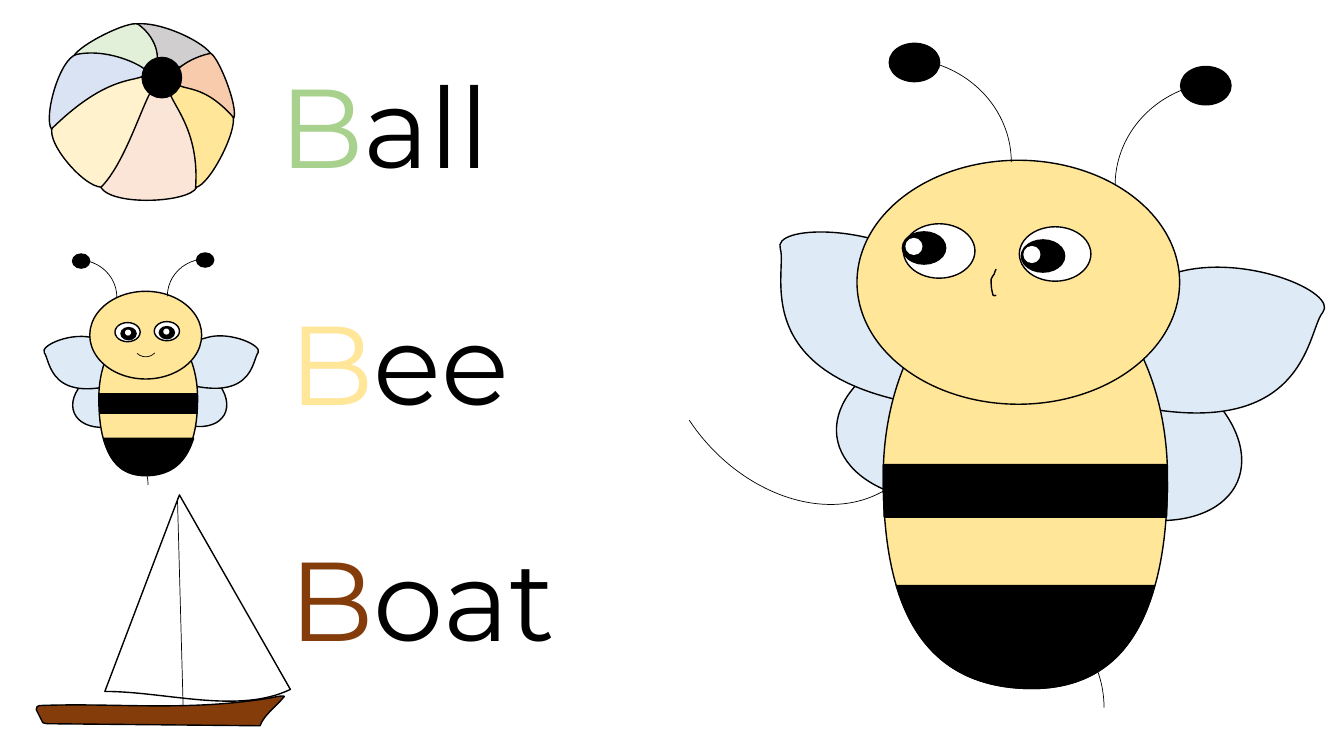
from pptx import Presentation
from pptx.dml.color import RGBColor
from pptx.enum.shapes import MSO_CONNECTOR, MSO_SHAPE
from pptx.enum.text import MSO_AUTO_SIZE
from pptx.oxml.ns import qn
from pptx.util import Pt
from lxml.etree import SubElement

PX = 9144
STEPS = 16
HUES = {
    "black": "000000", "white": "FFFFFF", "honey": "FFE699", "wing": "DEEBF7",
    "wood": "843C0B", "leaf": "A9D18E", "grey": "D0CECE", "cream": "FFF2CC",
    "pink": "FBE5D6", "peach": "F8CBAD", "mint": "E2F0D9", "sky": "DAE3F3",
}

SMALL = {
    "hind": [(99, 111, 89, 58, 28.7), (30, 113, 89, 58, 336.3)],
    "fore": [
        [(131, 127), (212, 154, 210, 107, 216, 100), (221, 93, 188, 78, 165, 85),
         (141, 93, 50, 99, 131, 127)],
        [(89, 127), (8, 155, 10, 107, 4, 100), (-1, 93, 32, 78, 55, 86),
         (79, 93, 170, 99, 89, 127)],
    ],
    "sting": (31, 192, 76, 78),
    "body": [(107, 221), (68, 222, 58, 187, 58, 145), (58, 103, 80, 70, 107, 70),
             (134, 70, 156, 103, 156, 145), (156, 187, 145, 219, 107, 221)],
    "head": (49, 39, 111, 87),
    "feelers": [(0, 8, 76, 74), (126, 7, 76, 74)],
    "tips": [(32, 2, 17, 14), (155, 1, 17, 14)],
    "eyes": [(74, 70, 25, 19), (113, 69, 25, 19)],
    "pupils": [(80, 75, 15, 12), (118, 74, 15, 12)],
    "glints": [(84, 77, 6, 6), (122, 76, 6, 6)],
    "belt": [(59, 141), (156, 141), (156, 160), (59, 160)],
    "tail": [(63, 185), (152, 185), (151, 188), (144, 208, 131, 221, 107, 222),
             (83, 223, 70, 210, 64, 189)],
}

LARGE = {
    "hind": [(149, 296, 257, 161, 352.6), (301, 306, 257, 161, 23.7)],
    "fore": [
        [(294, 368), (51, 354, 102, 231, 94, 207), (85, 183, 189, 181, 244, 225),
         (300, 270, 536, 383, 294, 368)],
        [(387, 347), (618, 422, 615, 289, 632, 270), (648, 250, 553, 210, 485, 231),
         (417, 253, 156, 272, 387, 347)],
    ],
    "sting": (196, 554, 219, 216),
    "body": [(337, 643), (447, 647, 478, 549, 478, 433), (478, 317, 415, 223, 337, 223),
             (259, 223, 196, 317, 196, 433), (196, 549, 227, 639, 337, 643)],
    "head": (170, 119, 320, 242),
    "feelers": [(104, 18, 219, 206), (426, 41, 219, 206)],
    "tips": [(202, 3, 50, 38), (491, 26, 50, 38)],
    "eyes": [(216, 182, 71, 54), (331, 185, 71, 54)],
    "pupils": [(215, 190, 43, 32), (333, 198, 43, 32)],
    "glints": [(218, 196, 17, 17), (335, 204, 17, 17)],
    "belt": [(477, 421), (196, 421), (196, 442), (197, 473), (477, 473), (478, 442)],
    "tail": [(465, 541), (209, 541), (212, 550), (231, 605, 269, 641, 338, 643),
             (407, 645, 444, 608, 462, 552)],
}

PANELS = [
    ("grey", [(160, 35), (155, 23, 109, 0, 83, 4), (108, 19, 100, 48, 115, 43),
              (127, 56, 130, 39, 160, 35)]),
    ("cream", [(2, 106), (-5, 123, 39, 172, 54, 165), (67, 152, 118, 65, 94, 63),
               (97, 37, 8, 90, 2, 106)]),
    ("pink", [(50, 166), (62, 185, 138, 181, 145, 166), (155, 135, 125, 58, 111, 65),
              (100, 45, 82, 134, 50, 166)]),
    ("honey", [(144, 166), (158, 164, 186, 109, 181, 95), (164, 75, 125, 52, 121, 63),
               (106, 74, 149, 96, 144, 166)]),
    ("peach", [(182, 97), (186, 85, 167, 37, 159, 33), (142, 36, 120, 49, 124, 57),
               (125, 75, 146, 56, 182, 97)]),
    ("mint", [(23, 36), (29, 24, 78, 0, 87, 4), (108, 19, 110, 44, 101, 47),
              (88, 59, 83, 26, 23, 36)]),
    ("sky", [(1, 108), (-7, 96, 9, 38, 26, 34), (60, 27, 97, 48, 95, 51),
             (92, 65, 64, 46, 1, 108)]),
]


def color(name):
    return RGBColor.from_string(HUES[name])


def paint(shape, fill, width):
    shape.shadow.inherit = False
    if fill:
        shape.fill.solid()
        shape.fill.fore_color.rgb = color(fill)
    else:
        shape.fill.background()
    if width:
        shape.line.color.rgb = color("black")
        shape.line.width = Pt(width)
    else:
        shape.line.fill.background()


def form(page, spot, kind, box, fill=None, width=1, turn=0):
    left, top, wide, high = box
    shape = page.shapes.add_shape(
        kind, (spot[0] + left) * PX, (spot[1] + top) * PX, wide * PX, high * PX)
    shape.rotation = turn
    paint(shape, fill, width)
    return shape


def oval(page, spot, box, fill, width=1, turn=0):
    form(page, spot, MSO_SHAPE.OVAL, box, fill, width, turn)


def arc(page, spot, box, turn=0, flip=False):
    shape = form(page, spot, MSO_SHAPE.ARC, box, None, 0.5, turn)
    if flip:
        shape._element.spPr.xfrm.set("flipH", "1")
    return shape


def bounds(steps):
    dots = [steps[0]]
    for old, step in zip(steps, steps[1:]):
        knots = [old[-2:], step[:2], step[-4:-2] or step, step[-2:]]
        if len(step) == 2:
            knots = [old[-2:], old[-2:], step, step]
        for i in range(1, STEPS + 1):
            t = i / STEPS
            parts = ((1 - t) ** 3, 3 * t * (1 - t) ** 2, 3 * t * t * (1 - t), t ** 3)
            dots.append([sum(p * k[axis] for p, k in zip(parts, knots)) for axis in (0, 1)])
    xs, ys = zip(*dots)
    return min(xs), min(ys), max(xs), max(ys)


def blob(page, spot, steps, fill=None, close=True):
    pen = page.shapes.build_freeform(*steps[0], scale=PX)
    pen.add_line_segments([step[-2:] for step in steps[1:]], close=close)
    shape = pen.convert_to_shape()
    left, top, right, foot = bounds(steps)
    shape.left, shape.top = round((spot[0] + left) * PX), round((spot[1] + top) * PX)
    shape.width, shape.height = round((right - left) * PX), round((foot - top) * PX)
    track = next(shape._element.iter(qn("a:path")))
    track.set("w", str(shape.width))
    track.set("h", str(shape.height))
    for node, step in zip(list(track), steps):
        for dot in list(node):
            node.remove(dot)
        if len(step) == 6:
            node.tag = qn("a:cubicBezTo")
        for x, y in zip(step[::2], step[1::2]):
            SubElement(node, qn("a:pt"), x=str(round((x - left) * PX)),
                       y=str(round((y - top) * PX)))
    paint(shape, fill, 1)


def bee(page, spot, look):
    for (*box, turn), wing in zip(look["hind"], look["fore"]):
        oval(page, spot, box, "wing", turn=turn)
        blob(page, spot, wing, "wing")
    arc(page, spot, look["sting"])
    blob(page, spot, look["body"], "honey")
    oval(page, spot, look["head"], "honey")
    for flip, box in enumerate(look["feelers"]):
        arc(page, spot, box, flip=bool(flip))
    for part, fill, width in (("tips", "black", 1), ("eyes", "white", 1),
                              ("pupils", "black", 1), ("glints", "white", 0)):
        for box in look[part]:
            oval(page, spot, box, fill, width)
    for part in ("belt", "tail"):
        blob(page, spot, look[part], "black")


def baby(page, spot):
    bee(page, spot, SMALL)
    arc(page, spot, (92, 79, 25, 25), turn=133.5)


def giant(page, spot):
    bee(page, spot, LARGE)
    trail = arc(page, spot, (-47, 199, 312, 239), turn=229.8, flip=True)
    trail.adjustments[0] = 155.25
    blob(page, spot, [(308, 227), (308, 228, 308, 228, 307, 229),
                      (307, 230, 306, 230, 306, 232), (305, 233, 304, 235, 303, 237),
                      (303, 240, 303, 246, 304, 249), (304, 251, 305, 252, 305, 253),
                      (306, 254, 307, 253, 308, 253)], close=False)


def ball(page, spot):
    for fill, steps in PANELS:
        blob(page, spot, steps, fill)
    oval(page, spot, (91, 37, 39, 40), "black")


def boat(page, spot):
    x, y = spot
    blob(page, spot, [(74, 196), (148, 1), (258, 194), (206, 219, 135, 196, 74, 196)], "white")
    mast = page.shapes.add_connector(
        MSO_CONNECTOR.STRAIGHT, (x + 146) * PX, (y + 4) * PX, (x + 152) * PX, (y + 223) * PX)
    mast.line.color.rgb = color("black")
    mast.line.width = Pt(0.5)
    SubElement(mast._element.spPr, qn("a:effectLst"))
    blob(page, spot, [(6, 214), (6, 212, 7, 210, 9, 210), (84, 207, 152, 216, 235, 203),
                      (236, 203, 252, 199, 252, 201), (244, 211, 232, 219, 228, 230),
                      (20, 228), (18, 228, 12, 228, 12, 226)], "wood")


def word(page, box, text, hue):
    frame = page.shapes.add_textbox(*(n * PX for n in box)).text_frame
    frame.word_wrap = True
    frame.auto_size = MSO_AUTO_SIZE.SHAPE_TO_FIT_TEXT
    para = frame.paragraphs[0]
    para.font.name = "Montserrat"
    para.font.size = Pt(80)
    for part, tint in ((text[0], hue), (text[1:], "black")):
        run = para.add_run()
        run.text = part
        run.font.color.rgb = color(tint)


def main():
    deck = Presentation()
    deck.slide_width, deck.slide_height = 1333 * PX, 750 * PX
    page = deck.slides.add_slide(deck.slide_layouts[6])
    giant(page, (680, 40))
    word(page, (277, 520, 322, 145), "Boat", "wood")
    boat(page, (30, 490))
    word(page, (277, 286, 278, 145), "Bee", "honey")
    baby(page, (40, 250))
    word(page, (267, 51, 278, 145), "Ball", "leaf")
    ball(page, (50, 20))
    deck.save("out.pptx")


if __name__ == "__main__":
    main()
